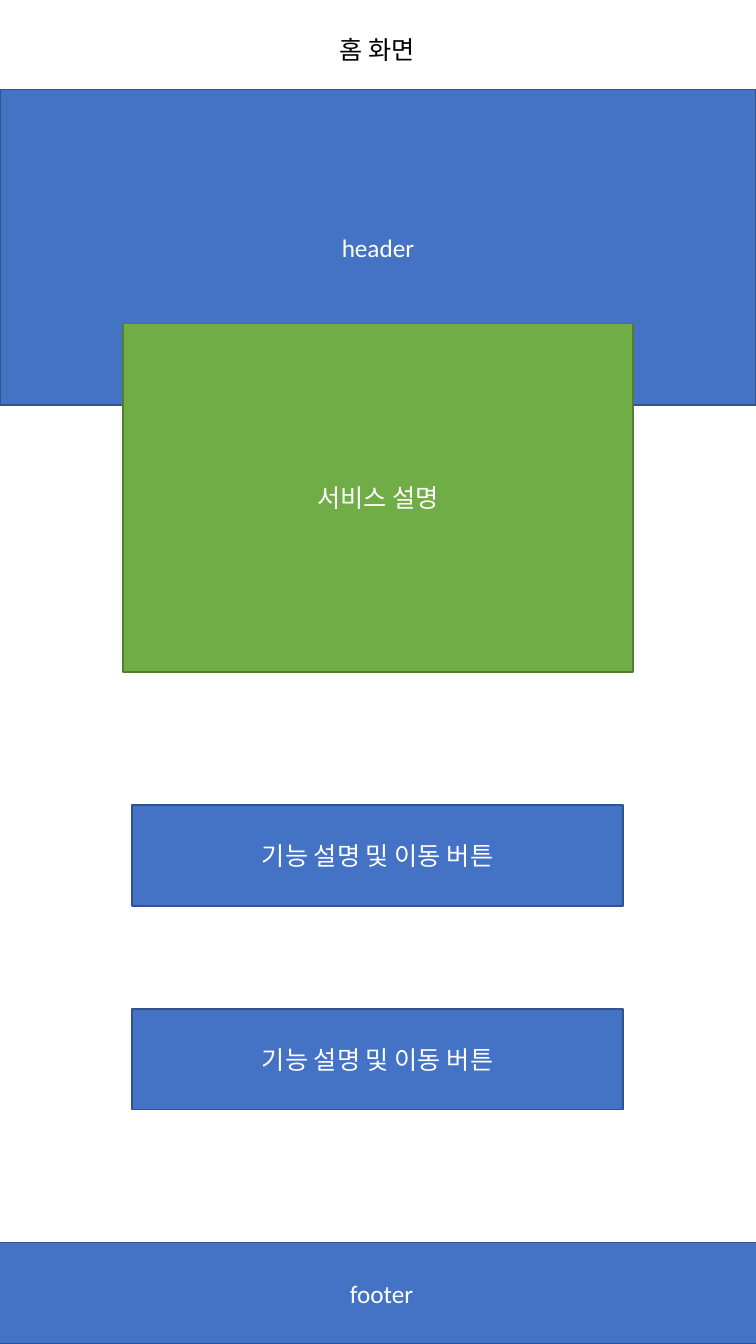
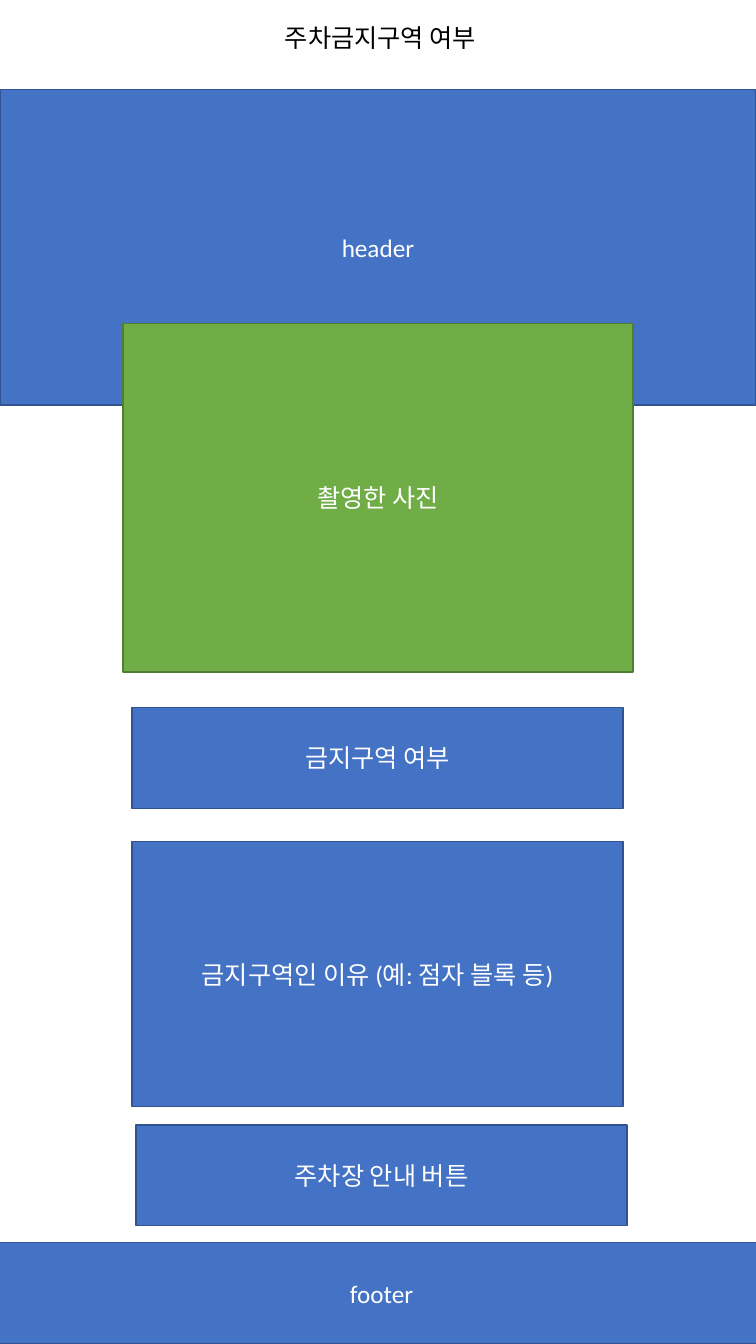
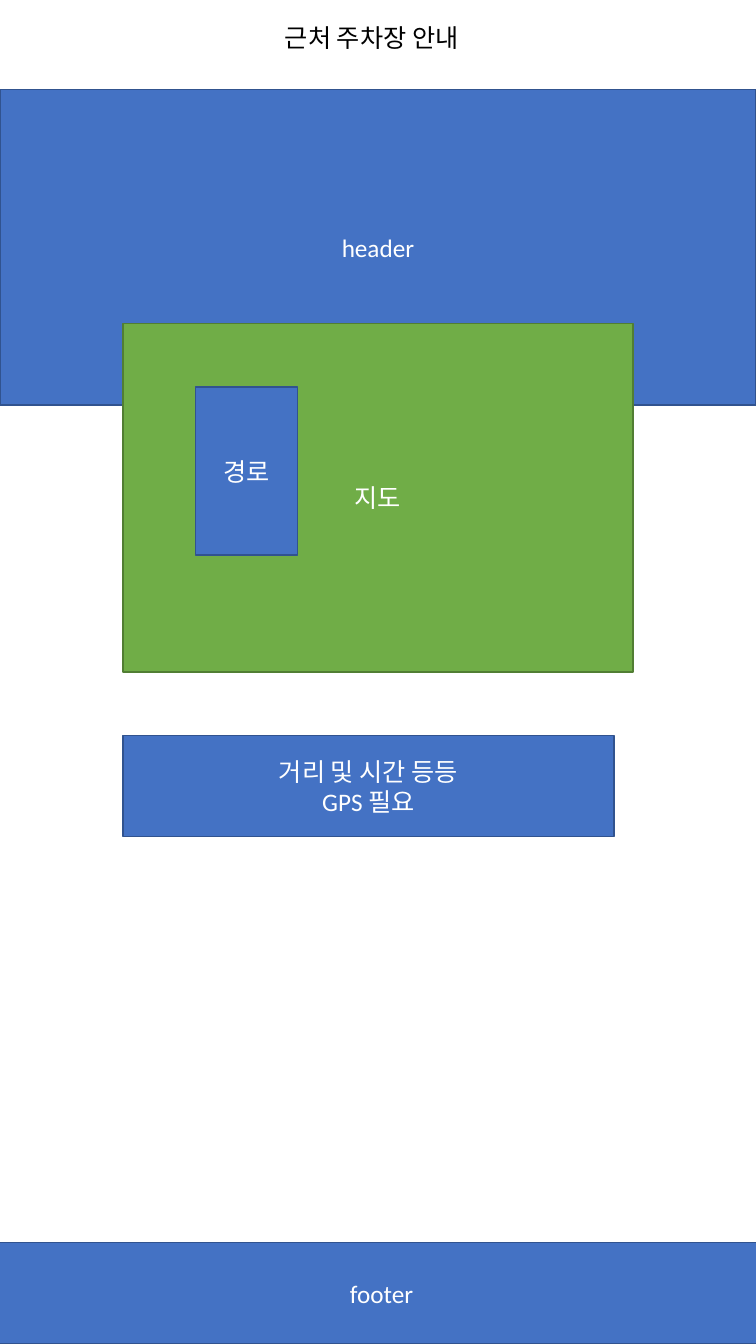
from pptx import Presentation
from pptx.dml.color import RGBColor
from pptx.enum import shapes, text
from pptx.util import Cm, Pt

WHITE = RGBColor(0xFF, 0xFF, 0xFF)
BLACK = RGBColor(0x00, 0x00, 0x00)
BLUE = RGBColor(0x44, 0x72, 0xC4)
DARK_BLUE = RGBColor(0x31, 0x53, 0x8F)
GREEN = RGBColor(0x70, 0xAD, 0x47)
DARK_GREEN = RGBColor(0x51, 0x7E, 0x33)

FONT = "Calibri"
PAGE_WIDTH = 19.05
PAGE_HEIGHT = 33.87
BUTTON_WIDTH = 12.37
BUTTON_HEIGHT = 2.54
BUTTON_LEFT = 3.33
PANEL_LEFT = 3.1


def write(frame, wording, size=18, color=WHITE, align=text.PP_ALIGN.CENTER):
    frame.word_wrap = True
    for index, line in enumerate(wording.split("\n")):
        para = frame.paragraphs[0] if index == 0 else frame.add_paragraph()
        para.alignment = align
        span = para.add_run()
        span.text = line
        span.font.name = FONT
        span.font.size = Pt(size)
        span.font.color.rgb = color


def add_block(page, wording, left, top, width, height, fill=BLUE, line=DARK_BLUE):
    box = page.shapes.add_shape(
        shapes.MSO_SHAPE.RECTANGLE, Cm(left), Cm(top), Cm(width), Cm(height))
    box.shadow.inherit = False
    box.fill.solid()
    box.fill.fore_color.rgb = fill
    box.line.color.rgb = line
    box.line.width = Pt(1)
    box.text_frame.vertical_anchor = text.MSO_ANCHOR.MIDDLE
    write(box.text_frame, wording)


def add_button(page, wording, top, left=BUTTON_LEFT, height=BUTTON_HEIGHT):
    add_block(page, wording, left, top, BUTTON_WIDTH, height)


def add_title(page, wording, left, top, width):
    box = page.shapes.add_textbox(Cm(left), Cm(top), Cm(width), Cm(1.03))
    box.text_frame.auto_size = text.MSO_AUTO_SIZE.SHAPE_TO_FIT_TEXT
    write(box.text_frame, wording, color=BLACK, align=text.PP_ALIGN.LEFT)


def add_screen(deck, title, panel, title_left=6.93, title_top=0.43, title_width=5.5):
    page = deck.slides.add_slide(deck.slide_layouts[6])
    add_block(page, "header", 0, 2.26, PAGE_WIDTH, 7.95)
    add_block(page, "footer", -0.15, 31.32, 19.53, BUTTON_HEIGHT)
    add_block(page, panel, PANEL_LEFT, 8.15, 12.85, 8.79, fill=GREEN, line=DARK_GREEN)
    add_title(page, title, title_left, title_top, title_width)
    return page


def main():
    deck = Presentation()
    deck.slide_width = Cm(PAGE_WIDTH)
    deck.slide_height = Cm(PAGE_HEIGHT)

    home = add_screen(deck, "홈 화면", "서비스 설명",
                      title_left=8.31, title_top=0.74, title_width=2.41)
    for top in (20.29, 25.43):
        add_button(home, "기능 설명 및 이동 버튼", top)

    zone = add_screen(deck, "주차금지구역 여부", "촬영한 사진")
    add_button(zone, "금지구역 여부", 17.83)
    add_button(zone, "금지구역인 이유 (예: 점자 블록 등)", 21.21, height=6.68)
    add_button(zone, "주차장 안내 버튼", 28.35, left=3.43)

    parking = add_screen(deck, "근처 주차장 안내", "지도", title_width=4.93)
    add_button(parking, "거리 및 시간 등등\nGPS 필요", 18.54, left=PANEL_LEFT)
    add_block(parking, "경로", 4.93, 9.75, 2.57, 4.24)

    deck.save("out.pptx")


if __name__ == "__main__":
    main()
